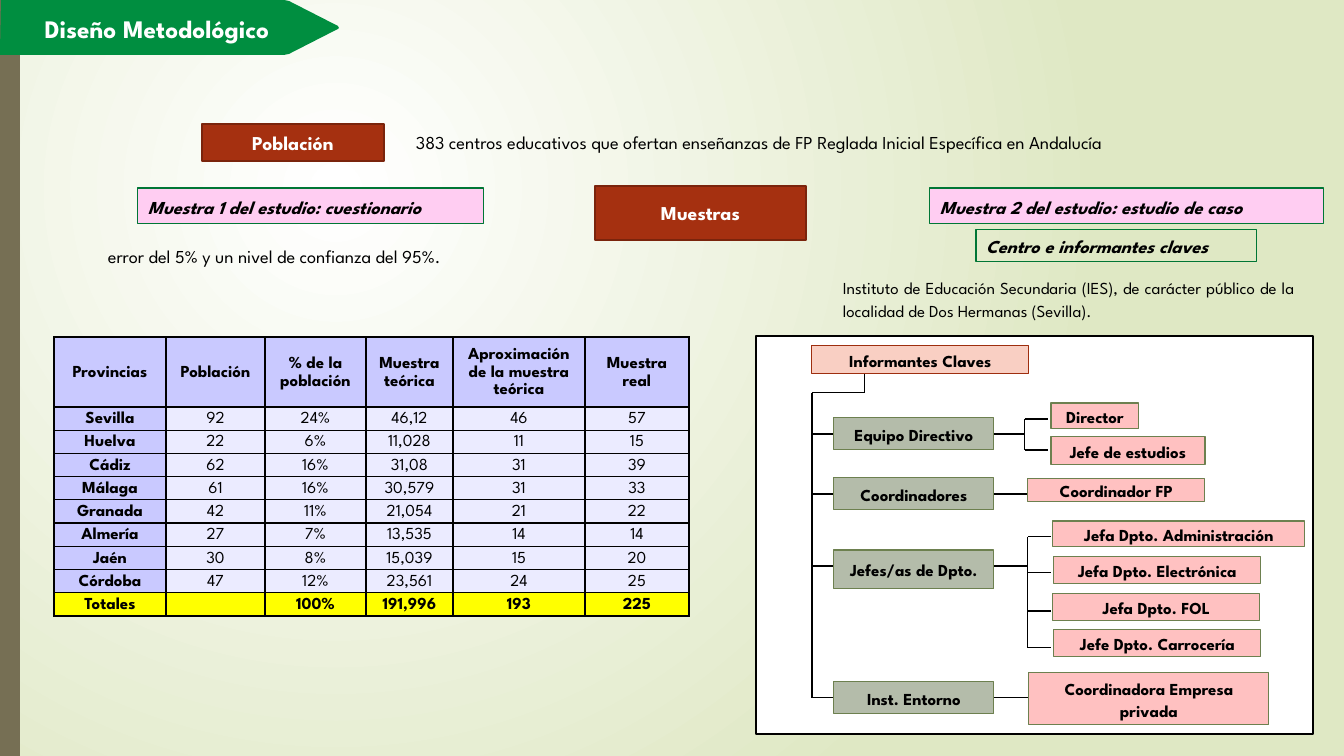
from lxml import etree
from pptx import Presentation
from pptx.dml.color import RGBColor
from pptx.enum.shapes import MSO_CONNECTOR, MSO_SHAPE
from pptx.enum.text import MSO_ANCHOR as Anchor, PP_ALIGN as Align
from pptx.oxml import parse_xml
from pptx.oxml.ns import nsdecls, qn
from pptx.util import Emu, Pt

SLIDE_W, SLIDE_H = 1344, 756
EMU_PER_PX = 12192000 / SLIDE_W
FONT = "League Spartan"

BLACK = RGBColor(0x00, 0x00, 0x00)
WHITE = RGBColor(0xFF, 0xFF, 0xFF)
MEADOW = RGBColor(0xDF, 0xE8, 0xC4)
TAUPE = RGBColor(0x76, 0x6F, 0x54)
GREEN = RGBColor(0x00, 0x8E, 0x40)
DARK_GREEN = RGBColor(0x00, 0x76, 0x35)
RUST = RGBColor(0xA5, 0x30, 0x10)
DARK_RUST = RGBColor(0x7A, 0x24, 0x0C)
PEACH = RGBColor(0xF9, 0xCF, 0xC3)
PEACH_EDGE = RGBColor(0x9E, 0x2E, 0x0F)
PINK = RGBColor(0xFF, 0xCD, 0xF2)
ROSE = RGBColor(0xFF, 0xC1, 0xC1)
SAGE = RGBColor(0xB4, 0xBC, 0xAA)
SAGE_EDGE = RGBColor(0x6D, 0x80, 0x4F)
LILAC = RGBColor(0xC9, 0xC9, 0xFF)
PALE_LILAC = RGBColor(0xEB, 0xEB, 0xFF)
YELLOW = RGBColor(0xFF, 0xFF, 0x00)

PROVINCES = [
    ("Provincias", "Población", "% de la población", "Muestra\nteórica",
     "Aproximación de la muestra teórica", "Muestra real"),
    ("Sevilla", "92", "24%", "46,12", "46", "57"),
    ("Huelva", "22", "6%", "11,028", "11", "15"),
    ("Cádiz", "62", "16%", "31,08", "31", "39"),
    ("Málaga", "61", "16%", "30,579", "31", "33"),
    ("Granada", "42", "11%", "21,054", "21", "22"),
    ("Almería", "27", "7%", "13,535", "14", "14"),
    ("Jaén", "30", "8%", "15,039", "15", "20"),
    ("Córdoba", "47", "12%", "23,561", "24", "25"),
    ("Totales", "", "100%", "191,996", "193", "225"),
]
COLUMN_WIDTHS = (112, 99, 101, 87, 132, 104)

# Branch: name, line y, box height, fork x, leaves (name, box, line y).
BRANCHES = [
    ("Equipo Directivo", 434, 32, 1025, [
        ("Director", (1051, 403, 88, 26), 419),
        ("Jefe de estudios", (1051, 437, 154, 28), 450)]),
    ("Coordinadores", 494, 32, 1025, [
        ("Coordinador FP", (1028, 479, 177, 23), 494)]),
    ("Jefes/as de Dpto.", 566, 39, 1028, [
        ("Jefa Dpto. Administración", (1053, 521, 252, 26), 537),
        ("Jefa Dpto. Electrónica", (1054, 557, 207, 27), 573),
        ("Jefa Dpto. FOL", (1053, 594, 207, 27), 611),
        ("Jefe Dpto. Carrocería", (1054, 630, 207, 27), 648)]),
    ("Inst. Entorno", 698, 32, 1028, [
        ("Coordinadora Empresa privada", (1029, 673, 240, 52), 698)]),
]
TRUNK_X, TRUNK_TOP = 812, 393


def px(length):
    return Emu(round(length * EMU_PER_PX))


class SlideBuilder:
    def __init__(self, slide):
        self.slide = slide
        self.shapes = slide.shapes

    def background(self, inner, outer):
        """Radial gradient centred on the upper left quarter."""
        self.slide.element.cSld.insert(0, parse_xml(
            f'<p:bg {nsdecls("p", "a")}><p:bgPr><a:gradFill rotWithShape="1"><a:gsLst>'
            f'<a:gs pos="0"><a:srgbClr val="{inner}"/></a:gs>'
            f'<a:gs pos="100000"><a:srgbClr val="{outer}"/></a:gs></a:gsLst>'
            '<a:path path="circle"><a:fillToRect l="50000" t="50000" r="100000" b="100000"/>'
            '</a:path></a:gradFill><a:effectLst/></p:bgPr></p:bg>'))

    def start_group(self):
        """Put the elements that follow into one group."""
        self.shapes = self.slide.shapes.add_group_shape().shapes

    def paint(self, shape, fill, edge=None, weight=0.75):
        shape.shadow.inherit = False
        if fill is None:
            shape.fill.background()
        else:
            shape.fill.solid()
            shape.fill.fore_color.rgb = fill
        if edge is None:
            shape.line.fill.background()
        else:
            shape.line.color.rgb = edge
            shape.line.width = Pt(weight)

    def fill_frame(self, frame, content, size, color=BLACK, bold=False, italic=False,
                   align=Align.CENTER, spacing=None, after=None):
        frame.word_wrap = True
        frame.text = content
        for paragraph in frame.paragraphs:
            paragraph.alignment = align
            paragraph.line_spacing = spacing
            paragraph.space_after = after
            font = paragraph.font
            font.name, font.size = FONT, Pt(size)
            font.bold, font.italic = bold, italic
            font.color.rgb = color

    def box(self, bounds, fill, edge=None, weight=0.75, content="",
            anchor=Anchor.MIDDLE, **style):
        shape = self.shapes.add_shape(MSO_SHAPE.RECTANGLE, *map(px, bounds))
        self.paint(shape, fill, edge, weight)
        if content:
            shape.text_frame.vertical_anchor = anchor
            self.fill_frame(shape.text_frame, content, **style)

    def node(self, bounds, content, fill, edge=SAGE_EDGE):
        self.box(bounds, fill, edge, content=content, size=12, bold=True,
                 spacing=1.07, after=Pt(8))

    def text(self, bounds, content, anchor=Anchor.TOP, **style):
        frame = self.shapes.add_textbox(*map(px, bounds)).text_frame
        frame.vertical_anchor = anchor
        self.fill_frame(frame, content, **style)

    def line(self, *ends):
        connector = self.shapes.add_connector(MSO_CONNECTOR.STRAIGHT, *map(px, ends))
        connector.line.color.rgb = BLACK
        connector.line.width = Pt(0.75)
        etree.SubElement(connector.element.spPr, qn("a:effectLst"))

    def outline(self, points, fill):
        builder = self.shapes.build_freeform(*points[0], scale=EMU_PER_PX)
        builder.add_line_segments(points[1:])
        self.paint(builder.convert_to_shape(), fill)

    def cell(self, cell, content, fill, bold):
        cell.margin_left = cell.margin_right = px(7)
        cell.margin_top = cell.margin_bottom = 0
        cell.vertical_anchor = Anchor.MIDDLE
        self.fill_frame(cell.text_frame, content, size=12, bold=bold, spacing=1.15)
        properties = cell._tc.get_or_add_tcPr()
        for side in "LRTB":
            properties.append(parse_xml(
                f'<a:ln{side} {nsdecls("a")} w="12700"><a:solidFill>'
                f'<a:srgbClr val="{BLACK}"/></a:solidFill></a:ln{side}>'))
        cell.fill.solid()
        cell.fill.fore_color.rgb = fill

    def table(self, left, top, rows, widths, header_height, row_height):
        """Header row and column in lilac, totals row in yellow."""
        height = header_height + row_height * (len(rows) - 1)
        table = self.shapes.add_table(len(rows), len(widths), px(left), px(top),
                                      px(sum(widths)), px(height)).table
        table.first_row = table.horz_banding = False
        for column, width in zip(table.columns, widths):
            column.width = px(width)
        last = len(rows) - 1
        for r, values in enumerate(rows):
            table.rows[r].height = px(row_height if r else header_height)
            for c, value in enumerate(values):
                heading = r == 0 or c == 0
                fill = YELLOW if r == last else LILAC if heading else PALE_LILAC
                self.cell(table.cell(r, c), value, fill, heading or r == last)

    def branch(self, name, y, height, fork_x, leaves):
        single = len(leaves) == 1
        self.line(TRUNK_X, y, leaves[0][1][0] if single else fork_x, y)
        self.node((834, y - 16, 160, height), name, SAGE)
        if not single:
            self.line(fork_x, leaves[0][2], fork_x, leaves[-1][2])
        for leaf, bounds, leaf_y in leaves:
            if not single:
                self.line(fork_x, leaf_y, fork_x + 23, leaf_y)
            self.node(bounds, leaf, ROSE)


def main():
    deck = Presentation()
    deck.slide_width, deck.slide_height = px(SLIDE_W), px(SLIDE_H)
    page = SlideBuilder(deck.slides.add_slide(deck.slide_layouts[6]))

    page.background(WHITE, MEADOW)
    page.box((0, 0, 20, SLIDE_H), TAUPE)
    page.outline([(1, 0), (284, 0), (289, 1), (338, 26), (339, 28), (338, 29),
                  (289, 54), (284, 55), (0, 55)], GREEN)
    page.text((-5, 8, 324, 40), "Diseño Metodológico", size=18, color=WHITE, bold=True)

    for bounds, label in [((202, 124, 182, 37), "Población"),
                          ((595, 186, 211, 54), "Muestras")]:
        page.box(bounds, RUST, DARK_RUST, 1.25, label, size=14, color=WHITE, bold=True)
    page.text((406, 126, 885, 32), "383 centros educativos que ofertan enseñanzas de FP "
              "Reglada Inicial Específica en Andalucía",
              anchor=Anchor.MIDDLE, size=13, align=Align.JUSTIFY)

    for bounds, label, fill, align, spacing in [
            ((138, 188, 346, 36), "Muestra 1 del estudio: cuestionario",
             PINK, Align.JUSTIFY, 1.15),
            ((930, 188, 394, 36), "Muestra 2 del estudio: estudio de caso",
             PINK, Align.JUSTIFY, 1.15),
            ((976, 230, 281, 32), "Centro e informantes claves", None, Align.LEFT, None)]:
        page.box(bounds, fill, DARK_GREEN, content=label, anchor=Anchor.TOP, size=13,
                 bold=True, italic=True, align=align, spacing=spacing)

    page.text((98, 240, 420, 32), "error del 5% y un nivel de confianza del 95%.",
              size=13, align=Align.LEFT)
    page.text((833, 270, 472, 57), "Instituto de Educación Secundaria (IES), de carácter "
              "público de la localidad de Dos Hermanas (Sevilla).",
              size=12, align=Align.JUSTIFY, spacing=1.15)
    page.table(54, 337, PROVINCES, COLUMN_WIDTHS, header_height=70, row_height=23)

    page.start_group()
    page.box((756, 336, 557, 398), WHITE, BLACK, 1.25)
    page.node((TRUNK_X, 346, 217, 28), "Informantes Claves", PEACH, PEACH_EDGE)
    page.line(865, 374, 865, TRUNK_TOP)
    page.line(TRUNK_X, TRUNK_TOP, 865, TRUNK_TOP)
    page.line(TRUNK_X, TRUNK_TOP, TRUNK_X, BRANCHES[-1][1])
    for branch in BRANCHES:
        page.branch(*branch)

    deck.save("out.pptx")


if __name__ == "__main__":
    main()
